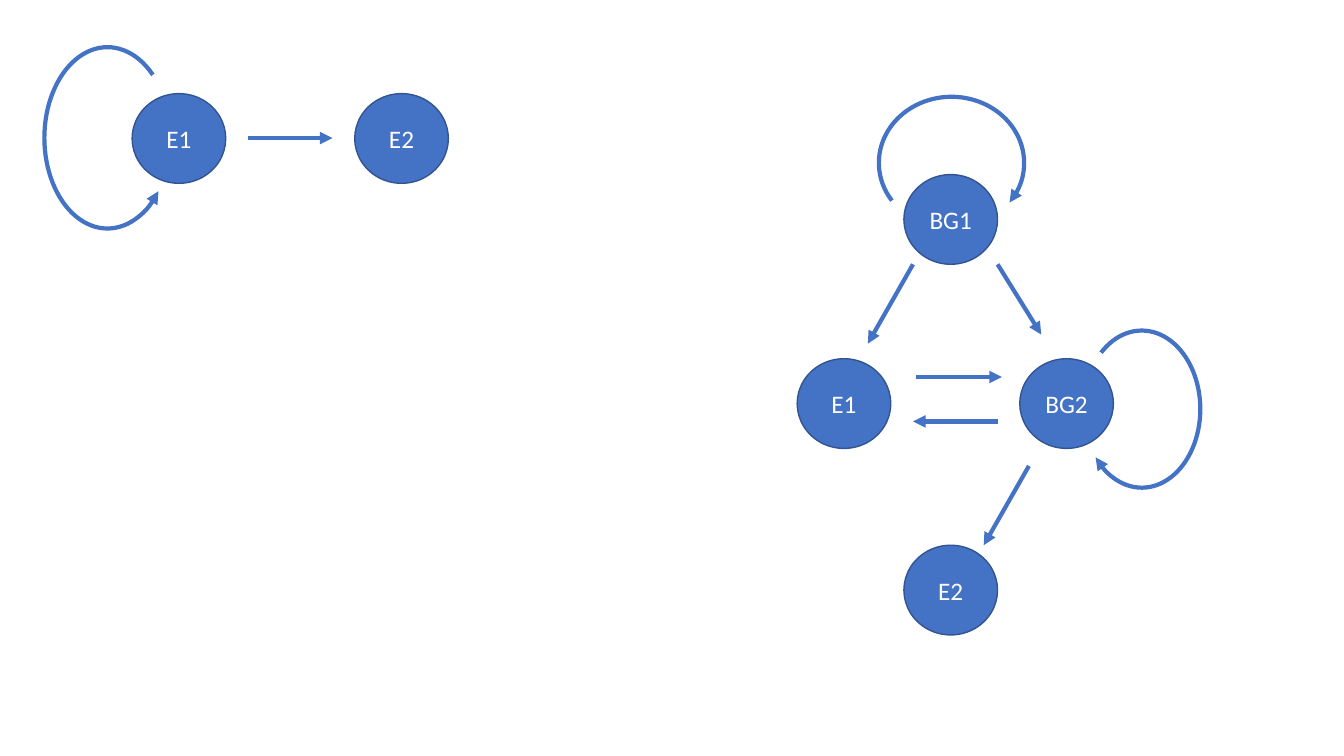
from pptx import Presentation
from pptx.dml.color import RGBColor as RGB
from pptx.enum.shapes import MSO_CONNECTOR as LINK, MSO_SHAPE as SHAPE
from pptx.enum.text import MSO_ANCHOR as ANCHOR, PP_ALIGN as ALIGN
from pptx.oxml.ns import qn
from pptx.util import Cm, Pt
from lxml.etree import SubElement

BLUE = RGB(0x44, 0x72, 0xC4)
EDGE = RGB(0x32, 0x54, 0x91)
WHITE = RGB(0xFF, 0xFF, 0xFF)
WIDE, HIGH = 2.36, 2.26
STEP = 5.61


def write(shape, text, size=18, font="Calibri", color=WHITE):
    frame = shape.text_frame
    frame.vertical_anchor = ANCHOR.MIDDLE
    par = frame.paragraphs[0]
    par.alignment = ALIGN.CENTER
    run = par.add_run()
    run.text = text
    run.font.size = Pt(size)
    run.font.name = font
    run.font.color.rgb = color


def stroke(item, color, width, end=None):
    item.line.color.rgb = color
    item.line.width = Pt(width)
    if end:
        SubElement(item.line._get_or_add_ln(), qn("a:" + end), type="triangle")


def shift(box, *spots):
    return [Cm(box[i % 2] + spot) for i, spot in enumerate(spots)]


def node(slide, box, text, x, y):
    disc = slide.shapes.add_shape(SHAPE.OVAL, *shift(box, x, y), Cm(WIDE), Cm(HIGH))
    disc.shadow.inherit = False
    disc.fill.solid()
    disc.fill.fore_color.rgb = BLUE
    stroke(disc, EDGE, 1)
    write(disc, text)


def arrow(slide, box, *ends):
    link = slide.shapes.add_connector(LINK.STRAIGHT, *shift(box, *ends))
    stroke(link, BLUE, 3, "tailEnd")
    SubElement(link._element.spPr, qn("a:effectLst"))


def loop(slide, box, x, y, width, height, turn=(27.755, 183.464), flip=False):
    arc = slide.shapes.add_shape(SHAPE.ARC, *shift(box, x, y), Cm(width), Cm(height))
    arc.shadow.inherit = False
    arc.fill.background()
    for i, value in enumerate(turn):
        arc.adjustments[i] = value
    if flip:
        arc._element.spPr.get_or_add_xfrm().set("flipH", "1")
    stroke(arc, BLUE, 3, "headEnd")


def chain(slide, box):
    for i, text in enumerate(("E1", "E2")):
        node(slide, box, text, 2.21 + i * STEP, 1.17)
    loop(slide, box, 0, 0, 3.18, 4.57)
    arrow(slide, box, 5.13, 2.29, 7.26, 2.29)


def graph(slide, box):
    mid = 2.69
    for text, x, y in (("E1", 0, 6.6), ("BG2", STEP, 6.6),
                       ("BG1", mid, 1.96), ("E2", mid, 11.3)):
        node(slide, box, text, x, y)
    loop(slide, box, 7.21, 5.89, 2.95, 3.96, flip=True)
    loop(slide, box, 2.06, 0, 3.66, 3.33, turn=(87.375, 19.425), flip=True)
    for ends in ((3, 7.06, 5.16, 7.06), (5.05, 8.18, 2.92, 8.18),
                 (2.92, 4.22, 1.78, 6.22), (5.05, 4.22, 6.15, 5.99),
                 (5.84, 9.3, 4.7, 11.3)):
        arrow(slide, box, *ends)


deck = Presentation()
deck.slide_width, deck.slide_height = Cm(33.87), Cm(19.05)
page = deck.slides.add_slide(deck.slide_layouts[6])
chain(page, (1.12, 1.19))
graph(page, (20.09, 2.44))
deck.save("out.pptx")
